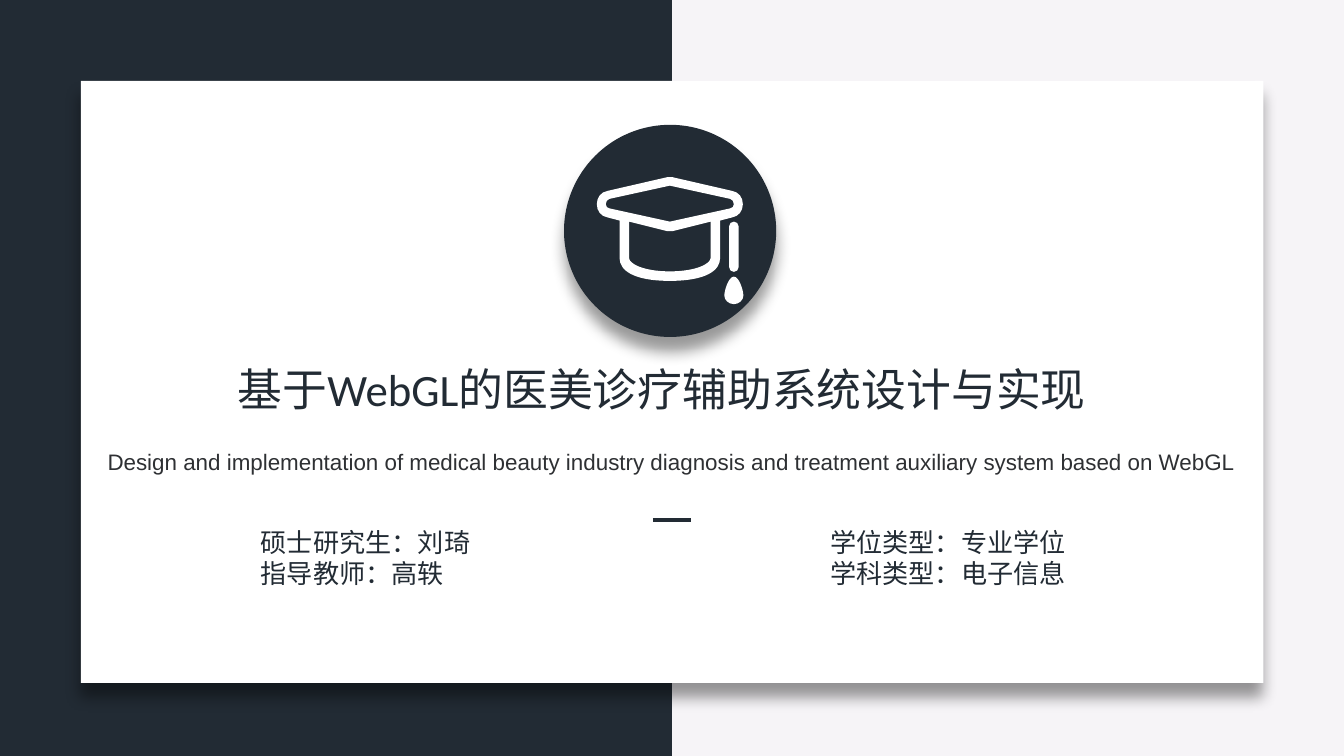
from lxml.etree import SubElement
from pptx import Presentation
from pptx.dml.color import RGBColor
from pptx.enum.shapes import MSO_CONNECTOR, MSO_SHAPE
from pptx.enum.text import MSO_ANCHOR, MSO_AUTO_SIZE, PP_ALIGN
from pptx.oxml import parse_xml
from pptx.oxml.ns import nsdecls, qn
from pptx.util import Cm, Pt

NAVY = RGBColor(0x22, 0x2B, 0x34)
PALE = RGBColor(0xF6, 0xF4, 0xF7)
WHITE = RGBColor(0xFF, 0xFF, 0xFF)
GREY = RGBColor(0x2E, 0x30, 0x33)

SHADOW = (
    f'<a:effectLst {nsdecls("a")}>'
    f'<a:outerShdw blurRad="{Pt(8)}" dist="{Pt(8)}" dir="5400000" algn="t" rotWithShape="0">'
    '<a:srgbClr val="000000"><a:alpha val="40000"/></a:srgbClr>'
    '</a:outerShdw></a:effectLst>'
)


def paint(shape, color, shadow=False):
    shape.fill.solid()
    shape.fill.fore_color.rgb = color
    shape.line.fill.background()
    shape.shadow.inherit = False
    if shadow:
        properties = shape._element.spPr
        properties.replace(properties.find(qn("a:effectLst")), parse_xml(SHADOW))


def add_mirrored_freeform(shapes, axis, halves):
    """Draw right halves, made of lines (2 numbers) and curves (6), with their mirror."""
    builder, counts = None, []
    for start, *segments in halves:
        half = [start] + [s[i:i + 2] for s in segments for i in range(0, len(s), 2)]
        whole = half + [(-x, y) for x, y in reversed(half[:-1])]
        points = [(Cm(axis + x), Cm(y)) for x, y in whole]
        half_counts = [len(s) // 2 for s in segments]
        counts += half_counts + half_counts[::-1]
        if builder is None:
            builder = shapes.build_freeform(*points[0])
        else:
            builder.move_to(*points[0])
        builder.add_line_segments(points[1:])
    shape = builder.convert_to_shape()
    # Join the three points of each curve into one Bézier segment
    lines = iter(list(shape._element.iter(qn("a:lnTo"))))
    for count in counts:
        group = [next(lines) for _ in range(count)]
        if count == 3:
            curve = parse_xml(f'<a:cubicBezTo {nsdecls("a")}/>')
            group[0].addprevious(curve)
            for line in group:
                curve.append(line[0])
                line.getparent().remove(line)
    paint(shape, WHITE)


deck = Presentation()
deck.slide_width, deck.slide_height = Cm(25.4), Cm(14.29)
page = deck.slides.add_slide(deck.slide_layouts[5])

# Two-tone background and white card
page.background.fill.solid()
page.background.fill.fore_color.rgb = PALE
left_half = page.shapes.add_shape(MSO_SHAPE.RECTANGLE, 0, 0, Cm(12.7), Cm(14.29))
paint(left_half, NAVY)
card = page.shapes.add_shape(MSO_SHAPE.RECTANGLE, Cm(1.53), Cm(1.53), Cm(22.35), Cm(11.38))
paint(card, WHITE, shadow=True)

# Title, brought in front of the card
title = page.shapes.title
title.left, title.top, title.width, title.height = Cm(4.24), Cm(6.71), Cm(16.93), Cm(1.28)
title._element.getparent().append(title._element)
frame = title.text_frame
frame.text = "基于WebGL的医美诊疗辅助系统设计与实现"
frame.word_wrap = True
frame.margin_right = 0
frame.auto_size = MSO_AUTO_SIZE.SHAPE_TO_FIT_TEXT
frame.vertical_anchor = MSO_ANCHOR.TOP
paragraph = frame.paragraphs[0]
paragraph.alignment = PP_ALIGN.LEFT
paragraph.font.name, paragraph.font.size = "Calibri", Pt(24)
paragraph.font.color.rgb = NAVY

# Short divider
divider = page.shapes.add_connector(MSO_CONNECTOR.STRAIGHT, Cm(12.34), Cm(9.83), Cm(13.06), Cm(9.83))
divider.line.color.rgb = NAVY
divider.line.width = Pt(2.25)
SubElement(divider._element.spPr, qn("a:effectLst"))

# Graduation cap badge: board and body with their openings, cord and drop
badge = page.shapes.add_group_shape().shapes
disc = badge.add_shape(MSO_SHAPE.OVAL, Cm(10.66), Cm(2.36), Cm(4.01), Cm(4.01))
paint(disc, NAVY, shadow=True)

add_mirrored_freeform(badge, 12.66, [
    [(0, 3.35), (0.05, 3.35), (1.18, 3.61),
     (1.3, 3.63, 1.38, 3.73, 1.38, 3.86), (1.38, 3.99, 1.3, 4.09, 1.18, 4.11),
     (0.95, 4.17), (0.95, 4.88), (0.95, 5.11, 0.69, 5.31, 0, 5.31)],
    [(0, 3.51), (1.14, 3.76),
     (1.18, 3.77, 1.21, 3.81, 1.21, 3.86), (1.21, 3.9, 1.18, 3.94, 1.14, 3.94),
     (0, 4.19)],
    [(0, 4.37), (0.05, 4.37), (0.77, 4.19), (0.77, 4.88),
     (0.77, 4.98, 0.51, 5.13, 0, 5.13)],
])
add_mirrored_freeform(badge, 13.87, [
    [(0, 4.19), (0.05, 4.19, 0.09, 4.23, 0.09, 4.28), (0.09, 5.05),
     (0.09, 5.1, 0.05, 5.14, 0, 5.14)],
])
add_mirrored_freeform(badge, 13.87, [
    [(0, 5.23), (0.1, 5.23, 0.18, 5.49, 0.18, 5.59),
     (0.18, 5.67, 0.1, 5.75, 0, 5.75)],
])

# Degree details, author details and English title
texts = [
    (15.44, 9.82, 6.78, 1.45, ["学位类型：专业学位", "学科类型：电子信息"],
     "Calibri", 14, NAVY, PP_ALIGN.LEFT, True),
    (4.68, 9.82, 4.5, 1.45, ["硕士研究生：刘琦", "指导教师：高轶"],
     "Calibri", 14, NAVY, PP_ALIGN.JUSTIFY, False),
    (1.7, 8.34, 22, 0.77,
     ["Design and implementation of medical beauty industry diagnosis and treatment "
      "auxiliary system based on WebGL"],
     "Arial", 12, GREY, PP_ALIGN.CENTER, False),
]
for left, top, width, height, lines, font, size, color, alignment, wrap in texts:
    box = page.shapes.add_textbox(Cm(left), Cm(top), Cm(width), Cm(height))
    frame = box.text_frame
    frame.text = "\n".join(lines)
    frame.word_wrap = wrap
    frame.auto_size = MSO_AUTO_SIZE.SHAPE_TO_FIT_TEXT
    for paragraph in frame.paragraphs:
        paragraph.alignment = alignment
        paragraph.font.name, paragraph.font.size = font, Pt(size)
        paragraph.font.color.rgb = color

deck.save("out.pptx")
